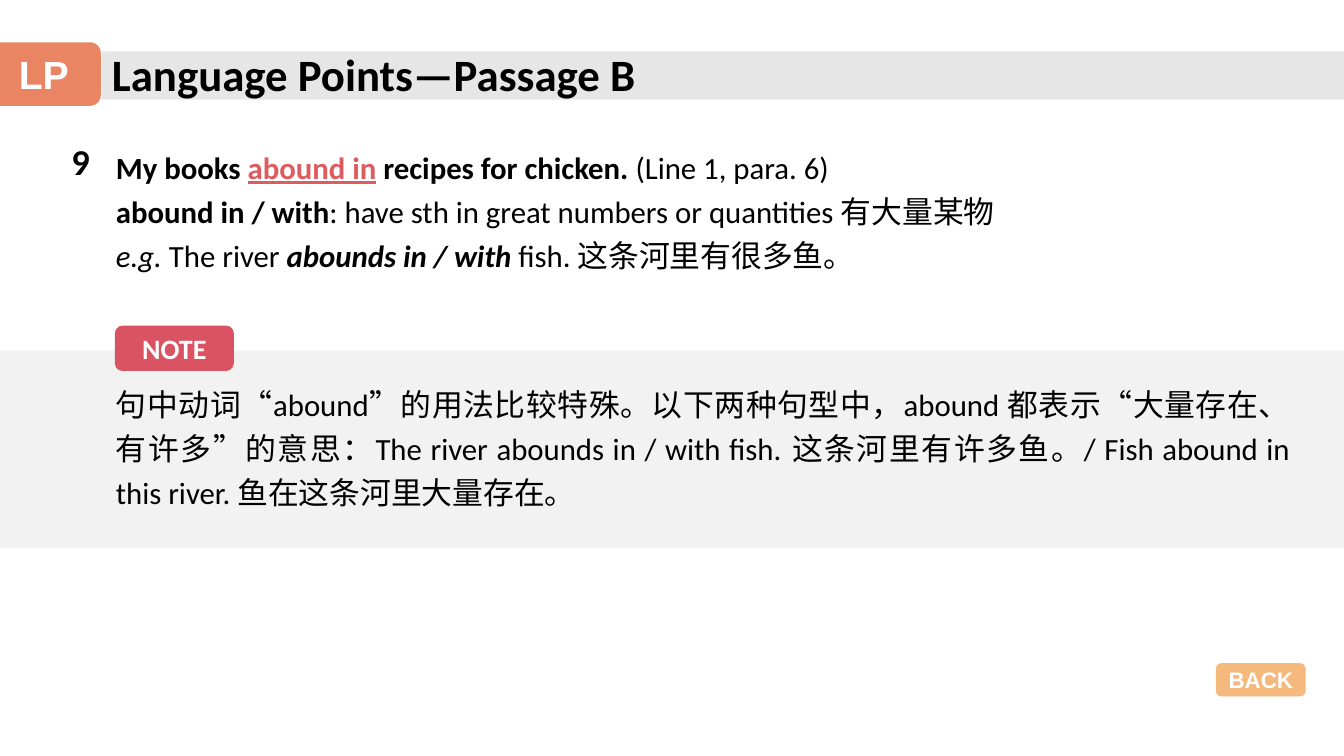
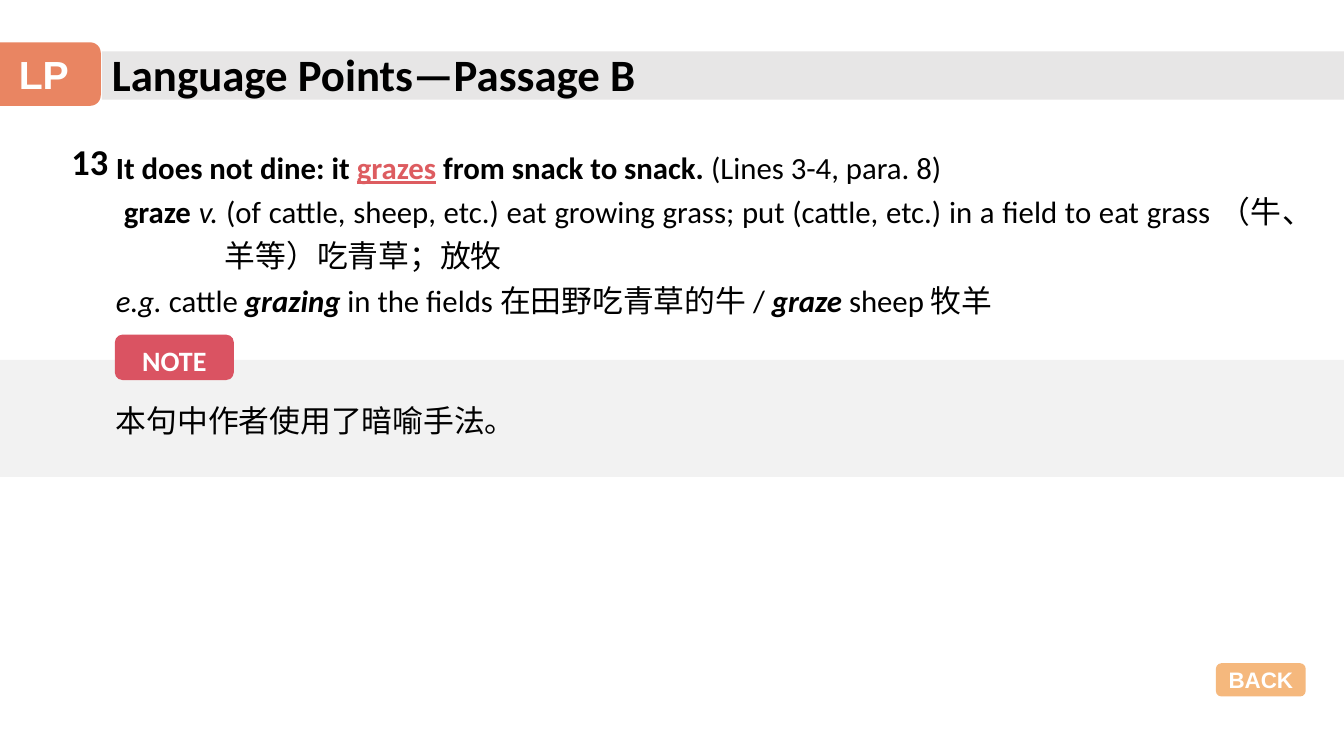
from dataclasses import dataclass

from lxml import etree
from pptx import Presentation
from pptx.dml.color import RGBColor
from pptx.enum.shapes import MSO_SHAPE
from pptx.enum.text import MSO_ANCHOR, MSO_AUTO_SIZE, PP_ALIGN
from pptx.oxml.ns import qn
from pptx.util import Inches, Pt

RECTANGLE, ROUNDED = MSO_SHAPE.RECTANGLE, MSO_SHAPE.ROUNDED_RECTANGLE
LEFT, CENTER, JUSTIFY = PP_ALIGN.LEFT, PP_ALIGN.CENTER, PP_ALIGN.JUSTIFY
TOP, MIDDLE = MSO_ANCHOR.TOP, MSO_ANCHOR.MIDDLE
NO_AUTOFIT = MSO_AUTO_SIZE.NONE


@dataclass(frozen=True)
class Theme:
    black = RGBColor.from_string("000000")
    white = RGBColor.from_string("FFFFFF")
    title_band = RGBColor.from_string("E7E6E6")
    note_band = RGBColor.from_string("F2F2F2")
    tab = RGBColor.from_string("E98562")
    button = RGBColor.from_string("F5B87D")
    label = RGBColor.from_string("DA5362")
    keyword = RGBColor.from_string("DD5C60")
    text_font = "Calibri"
    tab_font = "Arial"
    chinese_font = "Noto Sans CJK SC"
    title_size = Pt(32)
    tab_size = Pt(28)
    number_size = Pt(26)
    text_size = Pt(22)
    label_size = Pt(20)
    button_size = Pt(16)
    line_spacing = 1.2


theme = Theme()

POINTS = [
    {
        "number": "9",
        "body_rows": 18.67,
        "paragraphs": [
            (0, [("My books ", "b"), ("abound in", "bk"),
                 (" recipes for chicken. ", "b"), ("(Line 1, para. 6)", "")]),
            (0, [("abound in / with", "b"),
                 (": have sth in great numbers or quantities 有大量某物", "")]),
            (0, [("e.g. ", "i"), ("The river ", ""), ("abounds in / with", "bi"),
                 (" fish. 这条河里有很多鱼。", "")]),
        ],
        "band": (46.4, 26.13),
        "label_spacing": 1.0,
        "note_top": 49.33,
        "note_rows": 19.07,
        "note": "句中动词“abound”的用法比较特殊。以下两种句型中，abound 都表示“大量存在、"
                "有许多”的意思：The river abounds in / with fish. 这条河里有许多鱼。"
                "/ Fish abound in this river. 鱼在这条河里大量存在。",
    },
    {
        "number": "13",
        "body_rows": 24.53,
        "paragraphs": [
            (0, [("It does not dine: it ", "b"), ("grazes", "bk"),
                 (" from snack to snack. ", "b"), ("(Lines 3-4, para. 8)", "")]),
            (1.08, [(" graze ", "b"), ("v. ", "i"),
                    ("(of cattle, sheep, etc.) eat growing grass; "
                     "put (cattle, etc.) in a field to eat grass ", ""),
                    ("（牛、羊等）吃青草；放牧", "c")]),
            (0, [("e.g. ", "i"), ("cattle ", ""), ("grazing", "bi"),
                 (" in the fields ", ""), ("在田野吃青草的牛 ", "c"), ("/ ", ""),
                 ("graze", "bi"), (" sheep ", ""), ("牧羊", "c")]),
        ],
        "band": (47.6, 15.47),
        "label_spacing": theme.line_spacing,
        "note_top": 51.47,
        "note_rows": 6.8,
        "note": "本句中作者使用了暗喻手法。",
    },
]

presentation = Presentation()
presentation.slide_width = Inches(13.33)
presentation.slide_height = Inches(7.5)
column = presentation.slide_width / 100
row = presentation.slide_height / 100


def place(shape, left, top, width, height, fill=None, anchor=TOP):
    shape.left, shape.top = round(left * column), round(top * row)
    shape.width, shape.height = round(width * column), round(height * row)
    if fill is not None:
        shape.shadow.inherit = False
        shape.fill.solid()
        shape.fill.fore_color.rgb = fill
        shape.line.fill.background()
    frame = shape.text_frame
    frame.word_wrap = True
    frame.auto_size = NO_AUTOFIT
    frame.vertical_anchor = anchor
    return frame


def style(paragraph, size, color, font=theme.text_font, bold=True,
          alignment=LEFT, spacing=1.0):
    paragraph.alignment = alignment
    paragraph.line_spacing = spacing
    paragraph.space_before = Pt(0)
    paragraph.font.size = size
    paragraph.font.name = font
    paragraph.font.bold = bold
    paragraph.font.color.rgb = color


for point in POINTS:
    slide = presentation.slides.add_slide(presentation.slide_layouts[1])
    shapes = slide.shapes
    title, body = slide.placeholders[0], slide.placeholders[1]
    band_top, band_rows = point["band"]

    blocks = [
        (RECTANGLE, (0, band_top, 100, band_rows), theme.note_band, None),
        (RECTANGLE, (7.58, 6.8, 92.42, 6.4), theme.title_band, None),
        (ROUNDED, (-0.98, 5.6, 8.48, 8.4), theme.tab,
         ("LP", theme.tab_size, theme.tab_font, 1.0)),
        (ROUNDED, (90.47, 87.73, 6.68, 4.4), theme.button,
         ("BACK", theme.button_size, theme.tab_font, 1.0)),
        (ROUNDED, (8.55, band_top - 3.33, 8.85, 6), theme.label,
         ("NOTE", theme.label_size, theme.text_font, point["label_spacing"])),
    ]
    for outline, box, fill, caption in blocks:
        frame = place(shapes.add_shape(outline, 0, 0, 0, 0), *box, fill, MIDDLE)
        if caption:
            text, size, font, spacing = caption
            frame.text = text
            frame.margin_left = frame.margin_right = 0
            style(frame.paragraphs[0], size, theme.white, font, True, CENTER, spacing)

    for placeholder in (title, body):
        placeholder.element.getparent().append(placeholder.element)

    frame = place(title, 7.58, 5.47, 43.36, 8.53)
    frame.text = "Language Points—Passage B"
    style(frame.paragraphs[0], theme.title_size, theme.black)

    frame = place(shapes.add_textbox(0, 0, 0, 0), 4.58, 17.73, 4.73, 7.2)
    frame.text = point["number"]
    style(frame.paragraphs[0], theme.number_size, theme.black)

    frame = place(body, 7.88, 18, 88.3, point["body_rows"])
    for index, (indent, runs) in enumerate(point["paragraphs"]):
        paragraph = frame.add_paragraph() if index else frame.paragraphs[0]
        properties = paragraph._p.get_or_add_pPr()
        properties.set("marL", str(Inches(indent)))
        properties.set("indent", str(-Inches(indent)))
        etree.SubElement(properties, qn("a:buNone"))
        style(paragraph, theme.text_size, theme.black, bold=False,
              alignment=JUSTIFY, spacing=theme.line_spacing)
        for text, marks in runs:
            run = paragraph.add_run()
            run.text = text
            if "b" in marks:
                run.font.bold = True
            if "i" in marks:
                run.font.italic = True
            if "k" in marks:
                run.font.underline = True
                run.font.color.rgb = theme.keyword
            if "c" in marks:
                run.font.name = theme.chinese_font

    frame = place(shapes.add_textbox(0, 0, 0, 0),
                  7.88, point["note_top"], 88.82, point["note_rows"])
    frame.text = point["note"]
    style(frame.paragraphs[0], theme.text_size, theme.black, bold=False,
          alignment=JUSTIFY, spacing=theme.line_spacing)

presentation.save("out.pptx")
